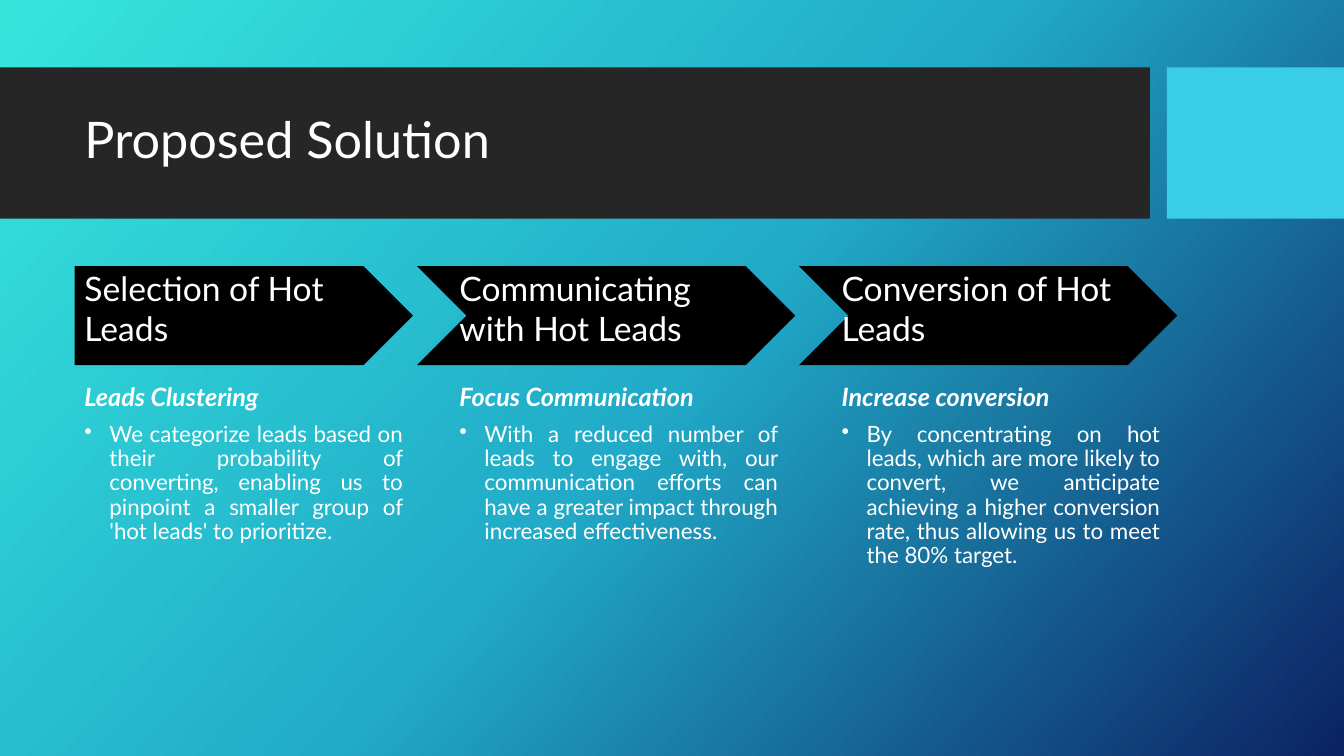
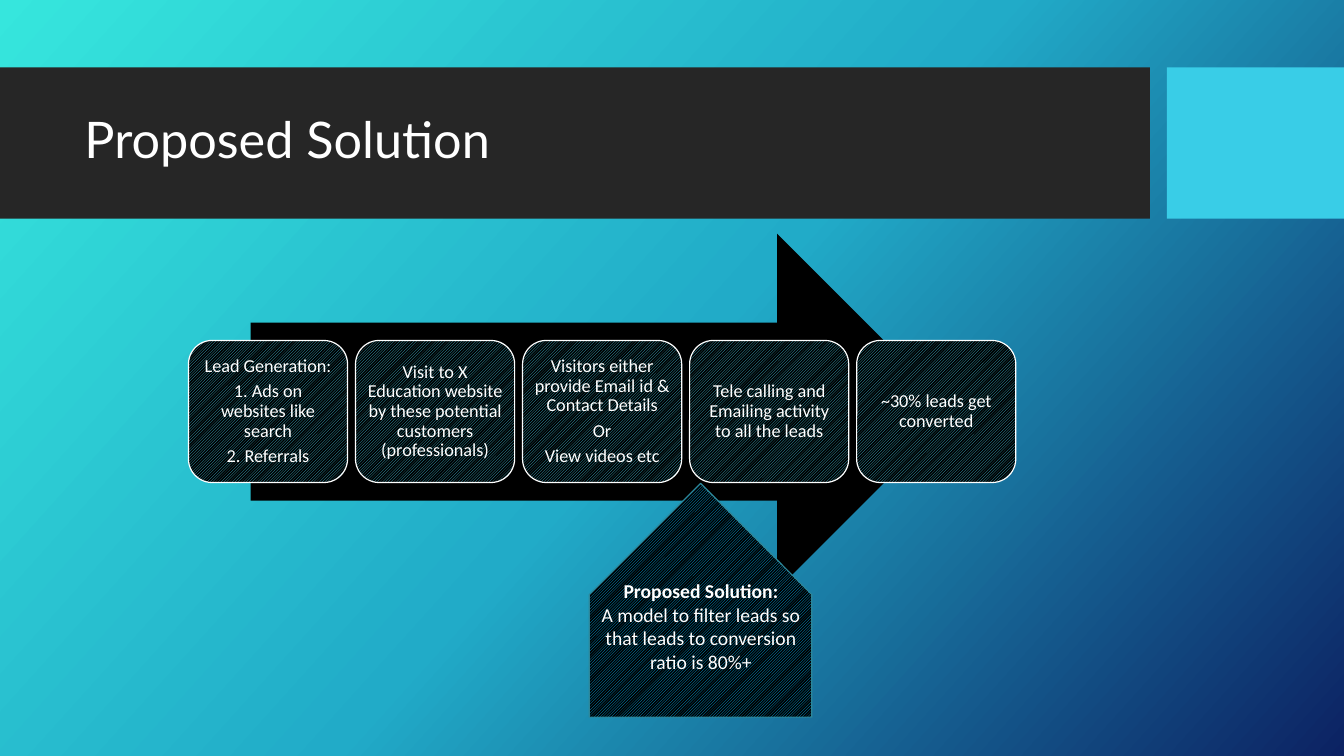
"""Build two slides on the proposed lead conversion solution."""
import copy
import dataclasses

import lxml.etree
import pptx
import pptx.dml.color
import pptx.enum.dml
import pptx.enum.shapes
import pptx.enum.text
import pptx.oxml.ns
import pptx.util

Cm = pptx.util.Cm
Pt = pptx.util.Pt
SHAPE = pptx.enum.shapes.MSO_SHAPE
ALIGN = pptx.enum.text.PP_ALIGN
ANCHOR = pptx.enum.text.MSO_ANCHOR

TITLE = "Proposed Solution"
STAGES = [
    ("Selection of Hot Leads", "Leads Clustering",
     "We categorize leads based on their probability of converting, enabling us to "
     "pinpoint a smaller group of 'hot leads' to prioritize."),
    ("Communicating with Hot Leads", "Focus Communication",
     "With a reduced number of leads to engage with, our communication efforts can "
     "have a greater impact through increased effectiveness."),
    ("Conversion of Hot Leads", "Increase conversion",
     "By concentrating on hot leads, which are more likely to convert, we anticipate "
     "achieving a higher conversion rate, thus allowing us to meet the 80% target."),
]
FUNNEL = [
    ["Lead Generation:", "1. Ads on websites like search", "2. Referrals"],
    ["Visit to X Education website by these potential customers (professionals)"],
    ["Visitors either provide Email id & Contact Details", "Or", "View videos etc"],
    ["Tele calling and Emailing activity to all the leads"],
    ["~30% leads get converted"],
]
PROPOSAL = ("Proposed Solution:",
            "A model to filter leads so that leads to conversion ratio is 80%+")


@dataclasses.dataclass(frozen=True)
class Theme:
    """Colours, fonts and type sizes of the deck."""
    backdrop: tuple = ((0, "36E6DD"), (0.5, "21ABC8"), (1, "0C2263"))
    backdrop_angle: int = 318
    band: str = "262626"
    accent: str = "39CDE7"
    dark: str = "000000"
    light: str = "FFFFFF"
    card_hatch: str = "3EBAD1"
    proposal_hatch: str = "00B0F0"
    proposal_edge: str = "2E8799"
    edge_width: float = 0.85
    heading_font: str = "Lato"
    card_font: str = "Calibri"
    title_size: int = 36
    stage_size: int = 24
    subhead_size: int = 18
    body_size: int = 16
    proposal_size: int = 14
    card_size: int = 13


THEME = Theme()


def rgb(value):
    """Turn a hex string into a colour."""
    return pptx.dml.color.RGBColor.from_string(value)


def write(frame, text, size, font=THEME.heading_font, bold=False, italic=False,
          align=ALIGN.LEFT, spacing=0.9, before=0, after=0, bullet=False):
    """Add one formatted paragraph to a text frame."""
    first = frame.paragraphs[0]
    paragraph = frame.add_paragraph() if first.runs else first
    paragraph.alignment = align
    paragraph.line_spacing = spacing
    paragraph.space_before, paragraph.space_after = Pt(before), Pt(after)
    run = paragraph.add_run()
    run.text = text
    run.font.name, run.font.size = font, Pt(size)
    run.font.bold, run.font.italic = bold, italic
    run.font.color.rgb = rgb(THEME.light)
    if bullet:
        properties = paragraph._p.get_or_add_pPr()
        properties.set("marL", str(Cm(0.63)))
        properties.set("indent", str(-Cm(0.63)))
        mark = lxml.etree.SubElement(properties, pptx.oxml.ns.qn("a:buChar"))
        mark.set("char", "•")


def set_frame(shape, anchor, inset):
    """Prepare the text frame of a shape."""
    frame = shape.text_frame
    frame.word_wrap = True
    frame.vertical_anchor = anchor
    frame.margin_left = frame.margin_right = Cm(inset)
    frame.margin_top = frame.margin_bottom = Cm(inset)
    return frame


def add_text_area(slide, left, top, width, height, anchor=ANCHOR.MIDDLE, inset=0.25):
    """Add a text box and return its frame."""
    area = slide.shapes.add_textbox(Cm(left), Cm(top), Cm(width), Cm(height))
    return set_frame(area, anchor, inset)


def add_block(slide, kind, left, top, width, height, color, hatch=None, edge=None):
    """Add a plain or hatched preset shape."""
    block = slide.shapes.add_shape(kind, Cm(left), Cm(top), Cm(width), Cm(height))
    block.shadow.inherit = False
    if hatch:
        block.fill.patterned()
        block.fill.pattern = pptx.enum.dml.MSO_PATTERN.LIGHT_UPWARD_DIAGONAL
        block.fill.fore_color.rgb = rgb(hatch)
        block.fill.back_color.rgb = rgb(color)
    else:
        block.fill.solid()
        block.fill.fore_color.rgb = rgb(color)
    if edge:
        block.line.color.rgb = rgb(edge)
        block.line.width = Pt(THEME.edge_width)
    else:
        block.line.fill.background()
    return block


def start_slide(deck):
    """Add a slide with the shared backdrop, bands and title."""
    slide = deck.slides.add_slide(deck.slide_layouts[6])
    fill = slide.background.fill
    fill.gradient()
    fill.gradient_angle = THEME.backdrop_angle
    stops = slide._element.find(".//" + pptx.oxml.ns.qn("a:gsLst"))
    stops.append(copy.deepcopy(stops[0]))
    for stop, (position, color) in zip(fill.gradient_stops, THEME.backdrop):
        stop.position = position
        stop.color.rgb = rgb(color)
    add_block(slide, SHAPE.RECTANGLE, 0, 1.7, 28.98, 3.81, THEME.band)
    add_block(slide, SHAPE.RECTANGLE, 29.41, 1.7, 4.46, 3.81, THEME.accent)
    write(add_text_area(slide, 1.88, 2.08, 26.7, 3), TITLE, THEME.title_size)
    return slide


def add_stages(slide):
    """Draw the three stages with their explanations."""
    left, gap = 1.88, 0.1
    for index, (stage, subhead, body) in enumerate(STAGES):
        kind, width, text_shift = ((SHAPE.CHEVRON, 9.53, 0.82) if index
                                   else (SHAPE.PENTAGON, 8.53, 0))
        add_block(slide, kind, left, 6.71, width, 2.49, THEME.dark)
        text_left = left + text_shift
        write(add_text_area(slide, text_left, 6.51, 7.8, 2.49), stage,
              THEME.stage_size, spacing=1)
        details = add_text_area(slide, text_left, 9.45, 8.53, 8.5, ANCHOR.TOP)
        write(details, subhead, THEME.subhead_size, bold=True, italic=True)
        write(details, body, THEME.body_size, align=ALIGN.JUSTIFY,
              before=8, after=8, bullet=True)
        left += width + gap


def add_funnel(slide):
    """Draw the lead funnel and the proposal below it."""
    add_block(slide, SHAPE.RIGHT_ARROW, 6.32, 5.89, 17.75, 8.97, THEME.dark)
    width, gap = 4.01, 0.2
    for index, lines in enumerate(FUNNEL):
        card = add_block(slide, SHAPE.ROUNDED_RECTANGLE, 4.75 + index * (width + gap),
                         8.58, width, 3.58, THEME.dark, THEME.card_hatch, THEME.light)
        frame = set_frame(card, ANCHOR.MIDDLE, 0.13)
        for number, line in enumerate(lines):
            write(frame, line, THEME.card_size, THEME.card_font,
                  align=ALIGN.CENTER, before=4 if number else 0)
    pointer = add_block(slide, SHAPE.PENTAGON, 14.71, 12.32, 5.89, 5.61, THEME.dark,
                        THEME.proposal_hatch, THEME.proposal_edge)
    pointer.rotation = 270
    frame = add_text_area(slide, 14.68, 13.28, 5.97, 5, inset=0.18)
    for number, line in enumerate(PROPOSAL):
        write(frame, line, THEME.proposal_size, THEME.card_font,
              bold=number == 0, align=ALIGN.CENTER, spacing=1)


def main():
    """Build and save the deck."""
    deck = pptx.Presentation()
    deck.slide_width, deck.slide_height = Cm(33.87), Cm(19.05)
    for add_content in (add_stages, add_funnel):
        add_content(start_slide(deck))
    deck.save("out.pptx")


if __name__ == "__main__":
    main()
